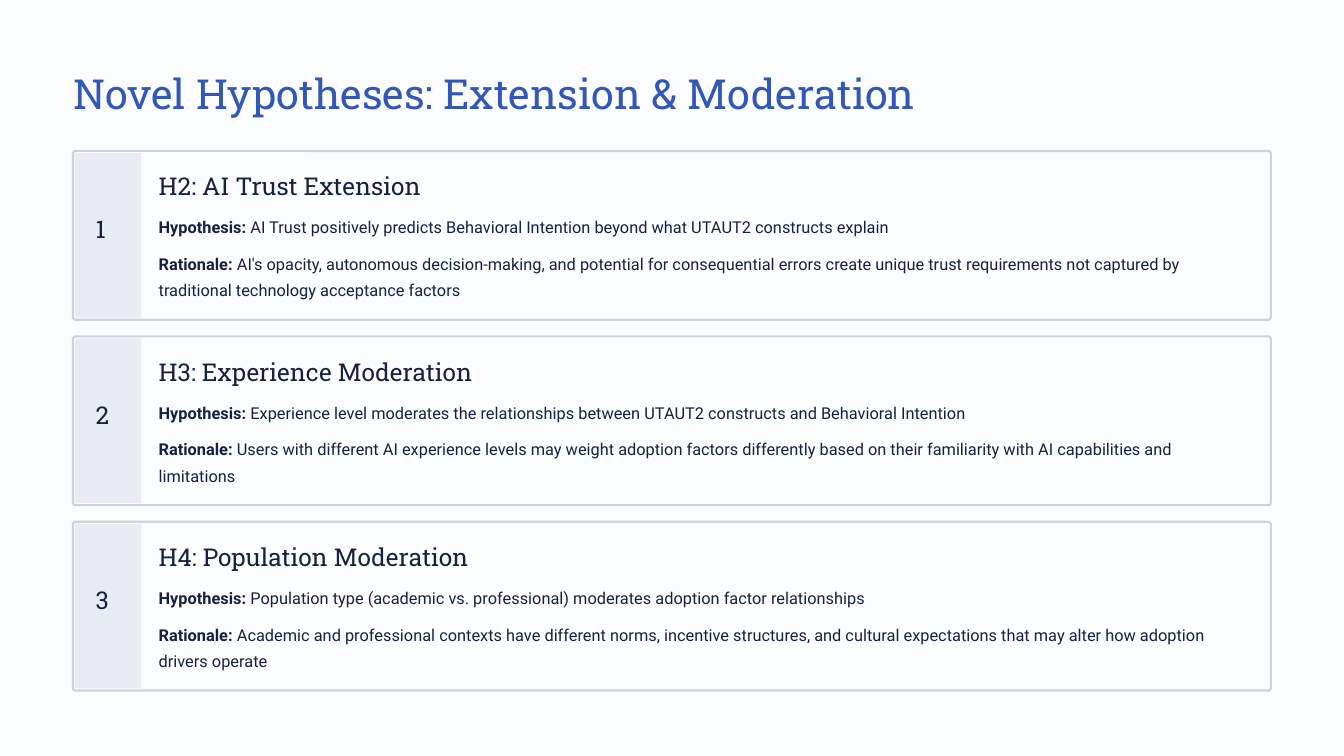
from pptx import Presentation
from pptx.dml.color import RGBColor
from pptx.enum.shapes import MSO_SHAPE
from pptx.enum.text import MSO_ANCHOR, MSO_AUTO_SIZE, PP_ALIGN
from pptx.util import Pt

RECT = MSO_SHAPE.RECTANGLE
ROUND_RECT = MSO_SHAPE.ROUNDED_RECTANGLE
TOP = MSO_ANCHOR.TOP
LEFT = PP_ALIGN.LEFT
NO_AUTOFIT = MSO_AUTO_SIZE.NONE

PAPER = RGBColor(0xFB, 0xFC, 0xFE)
BLUE = RGBColor(0x32, 0x57, 0xB8)
INK = RGBColor(0x15, 0x21, 0x3F)
BORDER = RGBColor(0xCF, 0xD2, 0xD8)
BAND = RGBColor(0xE9, 0xEC, 0xF2)

HEADING_FONT = "Roboto Slab"
BODY_FONT = "Roboto"

CARD_LEFT, CARD_TOP = 62.6, 129.4
CARD_WIDTH, CARD_HEIGHT = 1026.7, 144.7
CARD_PITCH = 158.9
TEXT_LEFT, TEXT_WIDTH = 136, 937.5

HYPOTHESES = [
    ("H2: AI Trust Extension",
     "AI Trust positively predicts Behavioral Intention beyond what UTAUT2 constructs explain",
     "AI's opacity, autonomous decision-making, and potential for consequential errors create "
     "unique trust requirements not captured by traditional technology acceptance factors"),
    ("H3: Experience Moderation",
     "Experience level moderates the relationships between UTAUT2 constructs and Behavioral Intention",
     "Users with different AI experience levels may weight adoption factors differently based on "
     "their familiarity with AI capabilities and limitations"),
    ("H4: Population Moderation",
     "Population type (academic vs. professional) moderates adoption factor relationships",
     "Academic and professional contexts have different norms, incentive structures, and cultural "
     "expectations that may alter how adoption drivers operate"),
]


def place(shape, left, top, width, height):
    shape.left, shape.top = Pt(left), Pt(top)
    shape.width, shape.height = Pt(width), Pt(height)


def write(shape, pieces, font, size, color, spacing):
    tf = shape.text_frame
    tf.margin_left = tf.margin_top = tf.margin_right = tf.margin_bottom = 0
    tf.word_wrap = True
    tf.auto_size = NO_AUTOFIT
    tf.vertical_anchor = TOP
    p = tf.paragraphs[0]
    p.alignment = LEFT
    p.line_spacing = Pt(spacing)
    for text, bold in pieces:
        r = p.add_run()
        r.text = text
        r.font.name = font
        r.font.size = Pt(size)
        r.font.bold = bold
        r.font.color.rgb = color


def add_text(s, box, pieces, font, size, spacing):
    shape = s.shapes.add_textbox(*map(Pt, box))
    write(shape, pieces, font, size, INK, spacing)


def add_heading(s, box, text, spacing):
    add_text(s, box, [(text, False)], HEADING_FONT, 21, spacing)


def add_labelled(s, box, label, text):
    add_text(s, box, [(label, True), (" " + text, False)], BODY_FONT, 14, 22.5)


def add_panel(s, kind, box, fill):
    shape = s.shapes.add_shape(kind, *map(Pt, box))
    shape.shadow.inherit = False
    shape.fill.solid()
    shape.fill.fore_color.rgb = fill
    shape.line.fill.background()
    return shape


def add_card(s, number, top, title, hypothesis, rationale):
    card = add_panel(s, ROUND_RECT, (CARD_LEFT, top, CARD_WIDTH, CARD_HEIGHT), PAPER)
    card.adjustments[0] = 0.015
    card.line.color.rgb = BORDER
    card.line.width = Pt(1.8)
    add_panel(s, RECT, (CARD_LEFT + 1.8, top + 1.8, 56.9, CARD_HEIGHT - 3.6), BAND)
    add_heading(s, (82.1, top + 58.6, 21.6, 26.6), str(number), 21)
    add_heading(s, (TEXT_LEFT, top + 16, TEXT_WIDTH, 26.6), title, 26.5)
    add_labelled(s, (TEXT_LEFT, top + 51.4, TEXT_WIDTH, 23), "Hypothesis:", hypothesis)
    add_labelled(s, (TEXT_LEFT, top + 82.7, TEXT_WIDTH, 45.4), "Rationale:", rationale)


def main():
    prs = Presentation()
    prs.slide_width, prs.slide_height = Pt(1152), Pt(648)
    s = prs.slides.add_slide(prs.slide_layouts[5])
    s.background.fill.solid()
    s.background.fill.fore_color.rgb = PAPER
    title = s.shapes.title
    place(title, CARD_LEFT, 56.2, CARD_WIDTH, 44.6)
    write(title, [("Novel Hypotheses: Extension & Moderation", False)],
          HEADING_FONT, 35.5, BLUE, 44.5)
    for i, content in enumerate(HYPOTHESES):
        add_card(s, i + 1, CARD_TOP + i * CARD_PITCH, *content)
    prs.save("out.pptx")


if __name__ == "__main__":
    main()
